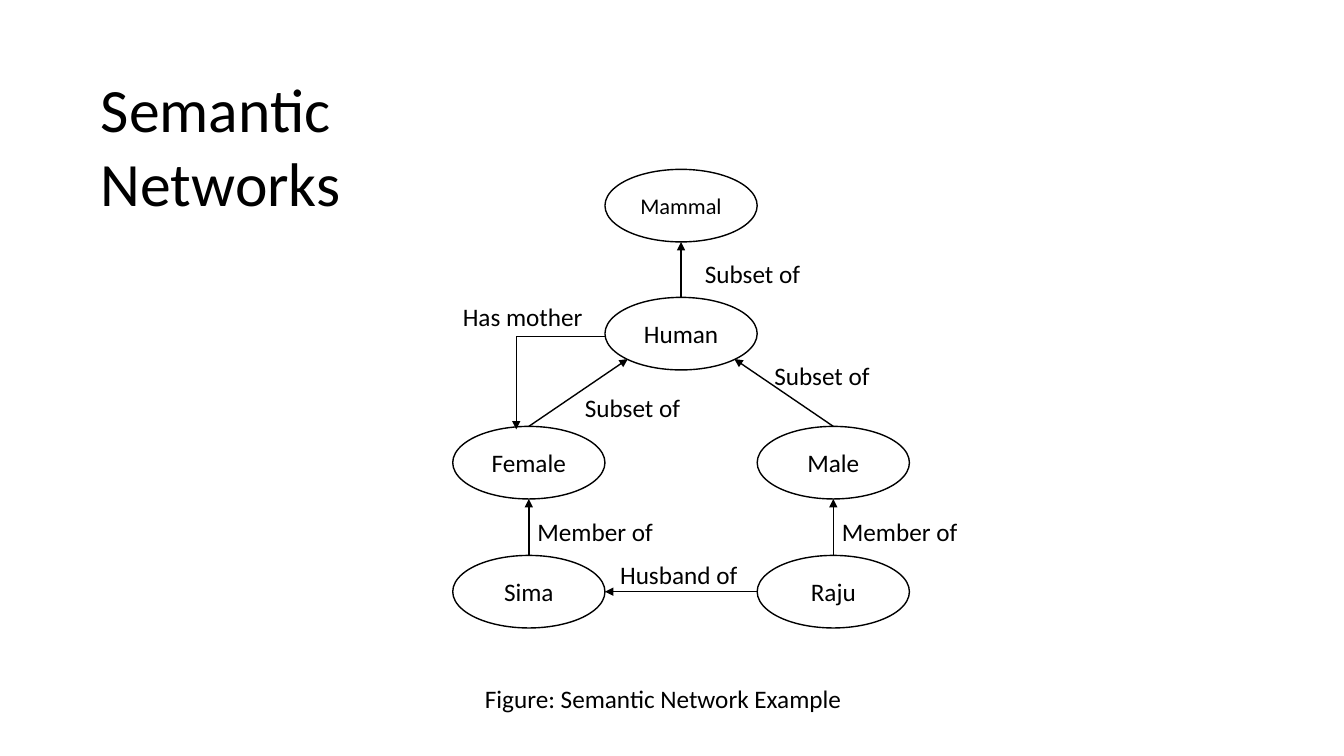
from lxml.etree import SubElement
from pptx import Presentation
from pptx.dml.color import RGBColor
from pptx.enum.shapes import MSO_CONNECTOR as Link, MSO_SHAPE as Preset
from pptx.enum.text import MSO_ANCHOR as Anchor, MSO_AUTO_SIZE as AutoSize, PP_ALIGN as Align
from pptx.oxml.ns import qn
from pptx.util import Emu, Pt

PX = 9144
BLACK = RGBColor(0, 0, 0)
FONT = "Calibri"
NODE_W, NODE_H = 151, 72
NETWORK_H = 455

# points on a node's outline, as shares of its width and height
TOP, BOTTOM, LEFT, RIGHT = (0.5, 0), (0.5, 1), (0, 0.5), (1, 0.5)
LOWER_LEFT, LOWER_RIGHT = (0.15, 0.85), (0.85, 0.85)

# name: column, row, text size
NODES = {
    "Mammal": (1, 0, 16),
    "Human": (1, 1, 18),
    "Female": (0, 2, 18),
    "Male": (2, 2, 18),
    "Sima": (0, 3, 18),
    "Raju": (2, 3, 18),
}
RELATIONS = [
    ("Human", TOP, "Mammal", BOTTOM),
    ("Female", TOP, "Human", LOWER_LEFT),
    ("Male", TOP, "Human", LOWER_RIGHT),
    ("Sima", TOP, "Female", BOTTOM),
    ("Raju", TOP, "Male", BOTTOM),
    ("Raju", LEFT, "Sima", RIGHT),
]
# text, then left, top and width within the network
LABELS = [
    ("Subset of", 250, 86, 95),
    ("Has mother", 10, 129, 122),
    ("Subset of", 319, 187, 95),
    ("Subset of", 131, 219, 95),
    ("Member of", 84, 342, 118),
    ("Member of", 386, 342, 118),
    ("Husband of", 166, 385, 119),
]


def px(*lengths):
    return [Emu(length * PX) for length in lengths]


def write(shape, text, size=18, align=Align.LEFT, anchor=Anchor.TOP, wrap=False, inset_top=2):
    frame = shape.text_frame
    frame.word_wrap = wrap
    frame.auto_size = AutoSize.NONE
    frame.vertical_anchor = anchor
    frame.margin_left, frame.margin_top, frame.margin_right, frame.margin_bottom = px(
        0, inset_top, 0, 0)
    para = frame.paragraphs[0]
    para.alignment = align
    span = para.add_run()
    span.text = text
    span.font.name = FONT
    span.font.size = Pt(size)
    span.font.color.rgb = BLACK


def stroke(shape, arrow=False):
    shape.line.color.rgb = BLACK
    shape.line.width = Pt(1)
    if arrow:
        line = shape.element.spPr.find(qn("a:ln"))
        SubElement(line, qn("a:tailEnd"), type="triangle")


def add_title(page, left, top, width, height):
    title = page.shapes.title
    title.left, title.top, title.width, title.height = px(left, top, width, height)
    write(title, "Semantic Networks", size=44, wrap=True, inset_top=3)


def add_label(page, text, left, top, width):
    box = page.shapes.add_textbox(*px(left, top, width, 33))
    write(box, text)


def add_node(page, name, size, left, top):
    node = page.shapes.add_shape(Preset.OVAL, *px(left, top, NODE_W, NODE_H))
    node.shadow.inherit = False
    node.fill.background()
    stroke(node)
    write(node, name, size, Align.CENTER, Anchor.MIDDLE, inset_top=0)
    return node


def outline_point(node, site):
    across, down = site
    return Emu(int(node.left + across * node.width)), Emu(int(node.top + down * node.height))


def add_relation(page, source, source_site, target, target_site):
    start = outline_point(source, source_site)
    end = outline_point(target, target_site)
    arrow = page.shapes.add_connector(Link.STRAIGHT, *start, *end)
    stroke(arrow, arrow=True)
    SubElement(arrow.element.spPr, qn("a:effectLst"))


def add_mother_arrow(page, left, top):
    """Draw the bent arrow from Human down to Female."""
    start, bend, end = [(left + x, top + y) for x, y in ((152, 166), (63, 166), (63, 258))]
    outline = page.shapes.build_freeform(*start, scale=PX)
    outline.add_line_segments([bend, end], close=False)
    arrow = outline.convert_to_shape()
    arrow.shadow.inherit = False
    arrow.fill.background()
    stroke(arrow, arrow=True)


def add_network(page, left, top):
    nodes = {}
    for name, (column, row, size) in NODES.items():
        row_top = top + row * (NETWORK_H - NODE_H) // 3
        nodes[name] = add_node(page, name, size, left + column * NODE_W, row_top)
    for source, source_site, target, target_site in RELATIONS:
        add_relation(page, nodes[source], source_site, nodes[target], target_site)
    add_mother_arrow(page, left, top)
    for text, x, y, width in LABELS:
        add_label(page, text, left + x, top + y, width)


def main():
    deck = Presentation()
    deck.slide_width, deck.slide_height = px(1333, 750)
    page = deck.slides.add_slide(deck.slide_layouts[5])
    add_title(page, 100, 67, 477, 76)
    add_network(page, 449, 168)
    add_label(page, "Figure: Semantic Network Example", 481, 676, 357)
    deck.save("out.pptx")


if __name__ == "__main__":
    main()
